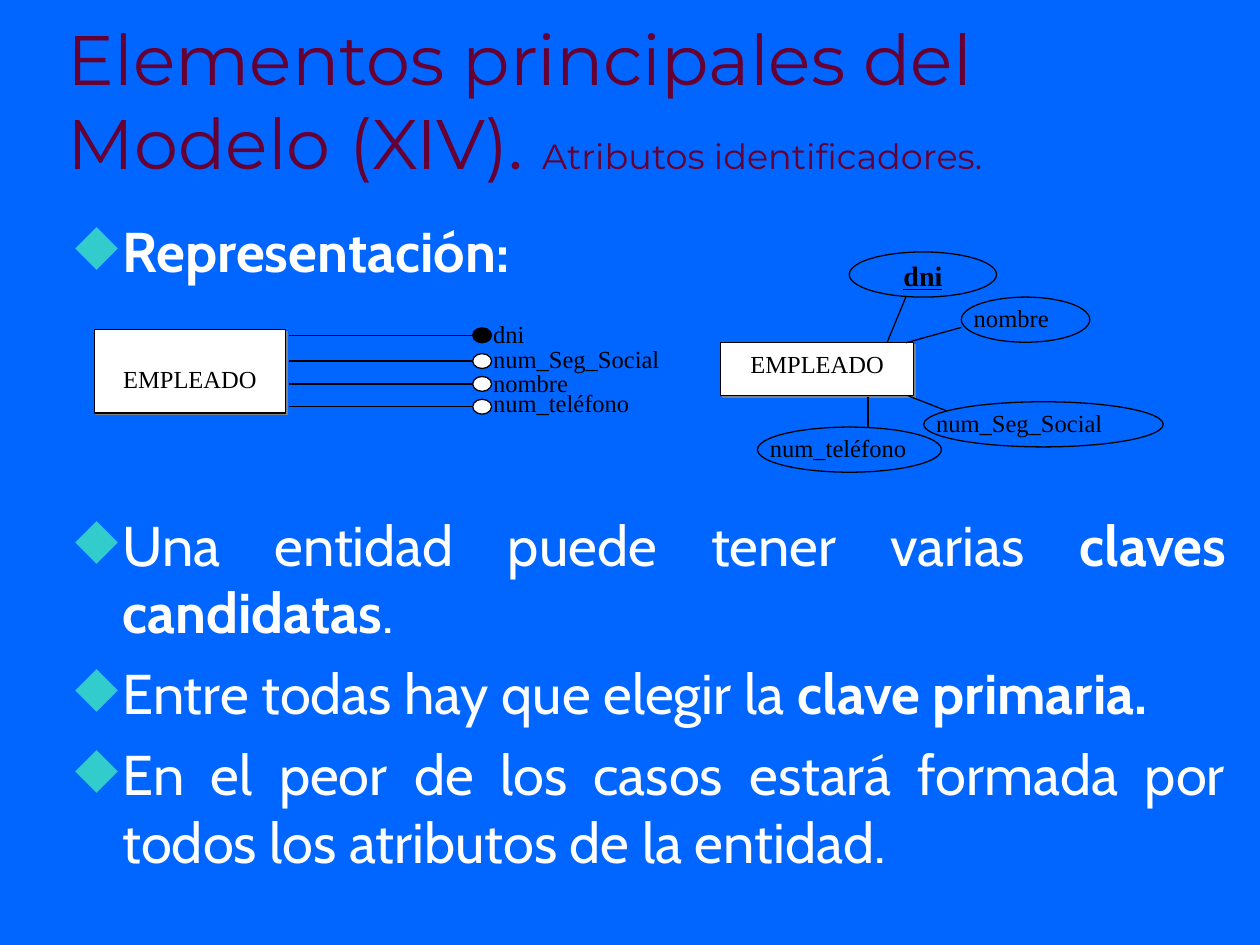
from lxml.etree import SubElement
from pptx import Presentation
from pptx.dml.color import RGBColor
from pptx.enum.shapes import MSO_CONNECTOR, MSO_SHAPE
from pptx.enum.text import MSO_ANCHOR, PP_ALIGN
from pptx.oxml.ns import qn
from pptx.util import Cm, Pt

COLORS = {
    "background": "0066FF",
    "title": "660033",
    "body": "FFFFFF",
    "bullet": "33CCCC",
    "ink": "000000",
    "paper": "FFFFFF",
    "shadow": "808080",
}
LABEL_HEIGHT = 0.91


def color(name):
    return RGBColor.from_string(COLORS[name])


def add_span(para, text, font="Times New Roman", size=14, ink="ink",
             bold=False, underline=False):
    span = para.add_run()
    span.text = text
    span.font.name = font
    span.font.size = Pt(size)
    span.font.color.rgb = color(ink)
    span.font.bold = bold
    span.font.underline = underline


def add_box(page, left, top, width, height, anchor=MSO_ANCHOR.TOP):
    box = page.shapes.add_textbox(Cm(left), Cm(top), Cm(width), Cm(height))
    box.text_frame.word_wrap = True
    box.text_frame.vertical_anchor = anchor
    return box.text_frame


def add_label(page, text, left, top, width, align=PP_ALIGN.LEFT, **style):
    para = add_box(page, left, top, width, LABEL_HEIGHT).paragraphs[0]
    para.alignment = align
    add_span(para, text, **style)


def add_outline(page, kind, left, top, width, height, fill=None):
    shape = page.shapes.add_shape(kind, Cm(left), Cm(top), Cm(width), Cm(height))
    shape.shadow.inherit = False
    if fill:
        shape.fill.solid()
        shape.fill.fore_color.rgb = color(fill)
    else:
        shape.fill.background()
    shape.line.color.rgb = color("ink")
    shape.line.width = Pt(0.75)
    return shape


def add_line(page, x1, y1, x2, y2):
    line = page.shapes.add_connector(
        MSO_CONNECTOR.STRAIGHT, Cm(x1), Cm(y1), Cm(x2), Cm(y2))
    line.line.color.rgb = color("ink")
    line.line.width = Pt(0.75)
    SubElement(line._element.spPr, qn("a:effectLst"))


def add_entity(page, left, top, width, height, text_top):
    entity = add_outline(page, MSO_SHAPE.RECTANGLE, left, top, width, height, "paper")
    effects = entity._element.spPr.find(qn("a:effectLst"))
    shadow = SubElement(effects, qn("a:outerShdw"), dist=str(Pt(1.4)),
                        dir="2700000", algn="ctr", rotWithShape="0")
    SubElement(shadow, qn("a:srgbClr"), val=COLORS["shadow"])
    frame = entity.text_frame
    frame.vertical_anchor = MSO_ANCHOR.TOP
    frame.margin_top = Cm(text_top)
    frame.paragraphs[0].alignment = PP_ALIGN.CENTER
    add_span(frame.paragraphs[0], "EMPLEADO")


def add_bullets(page, top, height, items, align=PP_ALIGN.LEFT):
    frame = add_box(page, 1.27, top, 23.7, height)
    for index, spans in enumerate(items):
        para = frame.add_paragraph() if index else frame.paragraphs[0]
        para.alignment = align
        if index:
            para.space_before = Pt(8)
        props = para._p.get_or_add_pPr()
        props.set("marL", str(Cm(0.95)))
        props.set("indent", str(Cm(-0.95)))
        SubElement(SubElement(props, qn("a:buClr")), qn("a:srgbClr"),
                   val=COLORS["bullet"])
        SubElement(props, qn("a:buChar"), char="◆")
        for text, bold in spans:
            add_span(para, text, font="Cabin", size=32, ink="body", bold=bold)


def add_title(page):
    frame = add_box(page, 1.12, 0.64, 23.01, 3.18, MSO_ANCHOR.BOTTOM)
    for text, size in (("Elementos principales del Modelo (XIV). ", 40),
                       ("Atributos identificadores.", 20)):
        add_span(frame.paragraphs[0], text, font="Montserrat", size=size, ink="title")


def add_circle_notation(page):
    add_entity(page, 1.9, 6.65, 3.86, 1.68, text_top=0.69)
    # Attribute, line height, label top, circle fill
    attributes = (
        ("dni", 6.76, 6.3, "ink"),
        ("num_Seg_Social", 7.28, 6.81, "paper"),
        ("nombre", 7.74, 7.29, "paper"),
        ("num_teléfono", 8.2, 7.7, "paper"),
    )
    for name, middle, label_top, fill in attributes:
        add_line(page, 5.82, middle, 9.53, middle)
        add_outline(page, MSO_SHAPE.OVAL, 9.53, middle - 0.15, 0.38, 0.3, fill)
        add_label(page, name, 9.69, label_top, 4.5)


def add_oval_notation(page):
    add_entity(page, 14.53, 6.91, 3.89, 1.07, text_top=0.13)
    key_style = {"align": PP_ALIGN.CENTER, "size": 16, "bold": True, "underline": True}
    attributes = (
        ("dni", 17.12, 5.08, 2.97, key_style),
        ("nombre", 19.38, 5.99, 2.59, {}),
        ("num_Seg_Social", 18.62, 8.1, 4.83, {}),
        ("num_teléfono", 15.27, 8.61, 3.71, {}),
    )
    for name, left, top, width, style in attributes:
        add_outline(page, MSO_SHAPE.OVAL, left, top, width, LABEL_HEIGHT)
        add_label(page, name, left, top, width, **style)
    for ends in ((17.88, 6.91, 18.26, 5.99), (18.26, 6.91, 19.38, 6.6),
                 (18.31, 7.98, 19.08, 8.28), (17.5, 8, 17.5, 8.61)):
        add_line(page, *ends)


def main():
    deck = Presentation()
    deck.slide_width, deck.slide_height = Cm(25.4), Cm(19.05)
    page = deck.slides.add_slide(deck.slide_layouts[6])
    page.background.fill.solid()
    page.background.fill.fore_color.rgb = color("background")

    # Title and text
    add_title(page)
    add_bullets(page, 4.24, 1.7, [[("Representación:", True)]])
    add_bullets(page, 10.16, 8.48, [
        [("Una entidad puede tener varias ", False),
         ("claves candidatas", True), (".", False)],
        [("Entre todas hay que elegir la ", False), ("clave primaria.", True)],
        [("En el peor de los casos estará formada por todos los atributos "
          "de la entidad.", False)],
    ], PP_ALIGN.JUSTIFY)

    # The two ways of drawing the entity
    add_circle_notation(page)
    add_oval_notation(page)

    deck.save("out.pptx")


if __name__ == "__main__":
    main()
